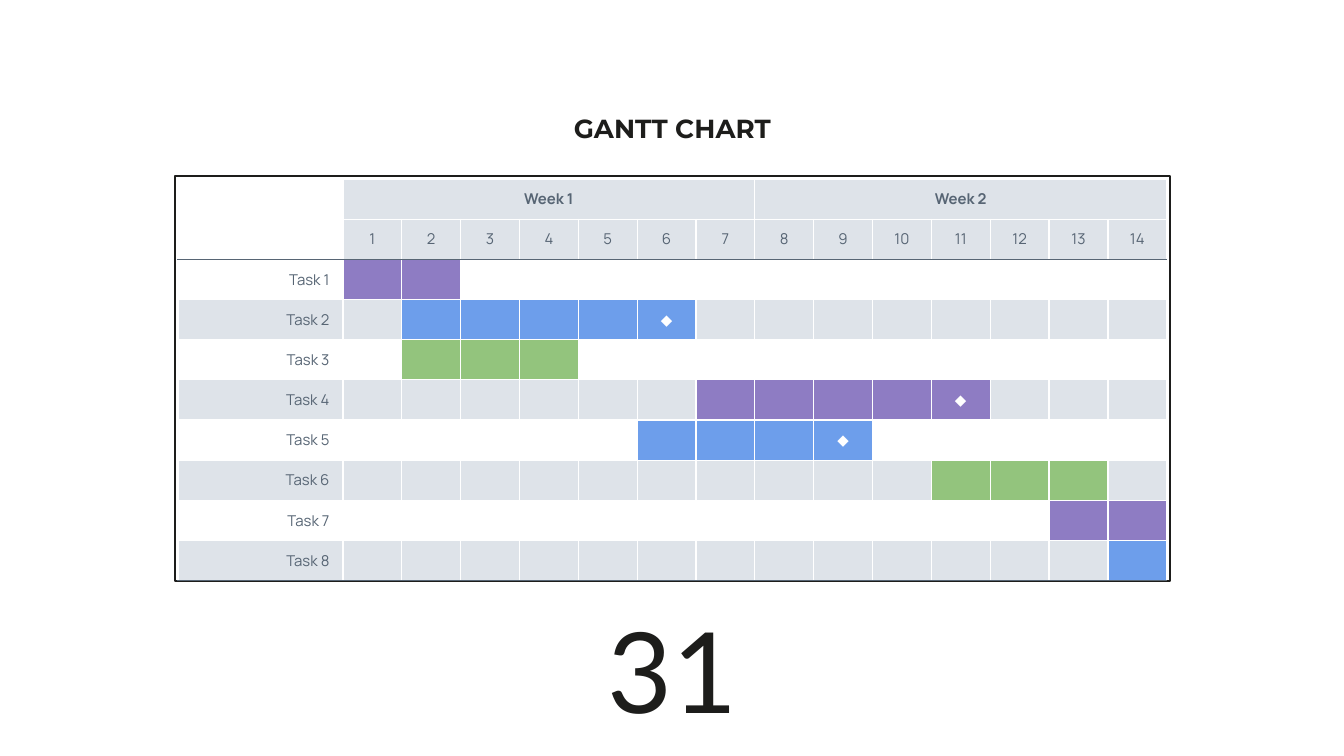
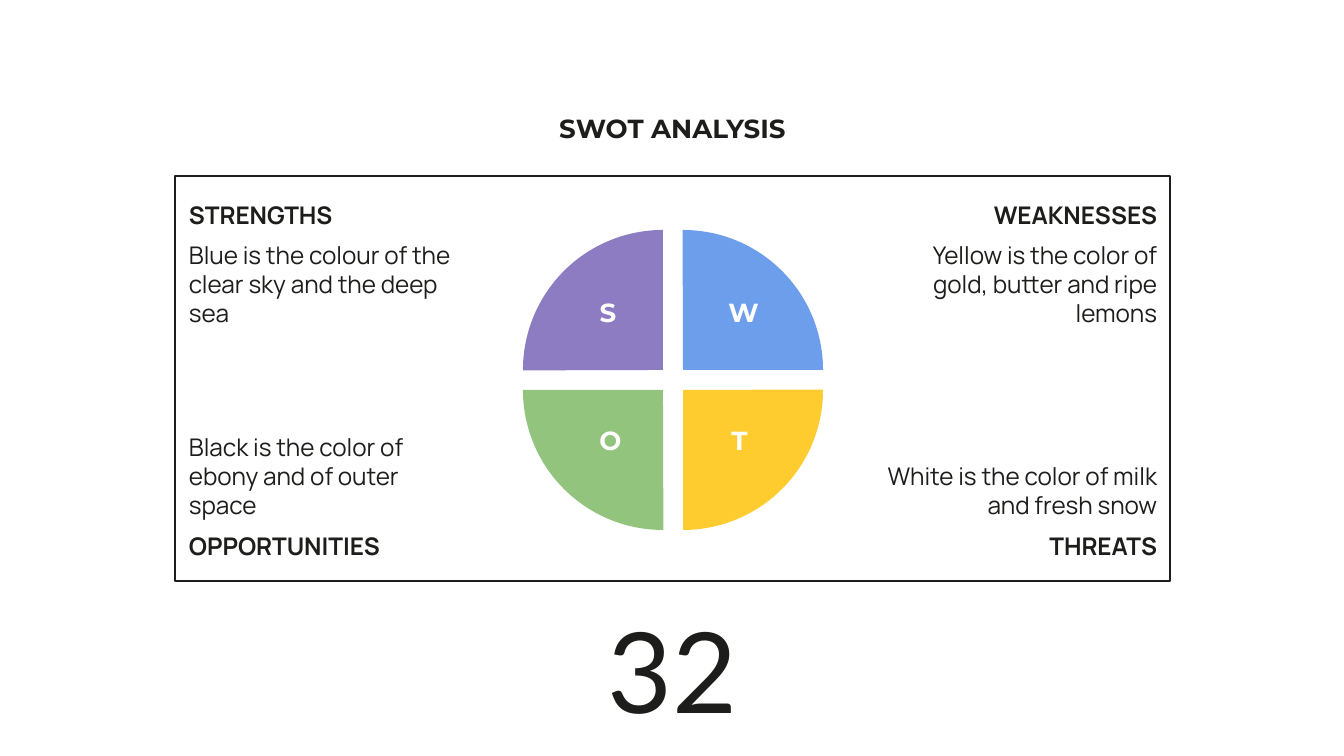
from lxml import etree
from pptx import Presentation, util as u
from pptx.dml.color import RGBColor
from pptx.enum import shapes, text
from pptx.oxml.ns import qn

INK = RGBColor(0x1D, 0x1D, 0x1B)
SLATE = RGBColor(0x57, 0x65, 0x74)
MIST = RGBColor(0xDE, 0xE3, 0xE9)
WHITE = RGBColor(0xFF, 0xFF, 0xFF)
PURPLE = RGBColor(0x8E, 0x7C, 0xC3)
BLUE = RGBColor(0x6D, 0x9E, 0xEB)
GREEN = RGBColor(0x93, 0xC4, 0x7D)
YELLOW = RGBColor(0xFF, 0xCC, 0x2F)

TITLE_FONT, BODY_FONT, NUMBER_FONT = "Montserrat", "Manrope", "Lato"
LEFT, CENTER, RIGHT = text.PP_ALIGN.LEFT, text.PP_ALIGN.CENTER, text.PP_ALIGN.RIGHT
TOP, MIDDLE, BOTTOM = text.MSO_ANCHOR.TOP, text.MSO_ANCHOR.MIDDLE, text.MSO_ANCHOR.BOTTOM

# Lengths are px, 1344 to the slide width
EMU_PER_PX = 9144000 / 1344
SLIDE = (1344, 756)
TITLE_BOX = (175, 31, 995, 126)
FRAME_BOX = (175, 176, 995, 405)
NUMBER_BOX = (175, 581, 995, 175)
INSET = 13

# Gantt chart: task, first day, last day, colour, milestone on the last day
WEEKS = ["Week 1", "Week 2"]
DAYS_PER_WEEK = 7
DAYS = len(WEEKS) * DAYS_PER_WEEK
TASKS = [
    ("Task 1", 1, 2, PURPLE, False),
    ("Task 2", 2, 6, BLUE, True),
    ("Task 3", 2, 4, GREEN, False),
    ("Task 4", 7, 11, PURPLE, True),
    ("Task 5", 6, 9, BLUE, True),
    ("Task 6", 11, 13, GREEN, False),
    ("Task 7", 13, 14, PURPLE, False),
    ("Task 8", 14, 14, BLUE, False),
]
HEADER_ROWS = 2
GANTT_BOX = (178, 179, 989, 402)
TASK_COLUMN = 165

# SWOT, clockwise: heading, description, colour, column, row, letter (left, width)
SWOT = [
    ("STRENGTHS", "Blue is the colour of the clear sky and the deep sea", PURPLE, 0, 0, (587, 42)),
    ("WEAKNESSES", "Yellow is the color of gold, butter and ripe lemons", BLUE, 1, 0, (704, 79)),
    ("THREATS", "White is the color of milk and fresh snow", YELLOW, 1, 1, (718, 43)),
    ("OPPORTUNITIES", "Black is the color of ebony and of outer space", GREEN, 0, 1, (583, 55)),
]
NOTE_LEFTS, NOTE_TOPS, NOTE_SIZE = (176, 683), (187, 390), (487, 183)
NOTE_INNER_INSET = 202
PIE_LEFT, PIE_TOP, PIE_SIZE, PIE_GAP = 523, 230, 280, 20
LETTER_TOPS, LETTER_HEIGHT = (289, 417), 50


def px(length):
    return u.Emu(round(length * EMU_PER_PX))


def box(lengths):
    return [px(length) for length in lengths]


def add_run(paragraph, words, font, size, color, bold=False):
    run = paragraph.add_run()
    run.text = words
    run.font.name, run.font.size, run.font.bold = font, u.Pt(size), bold
    run.font.color.rgb = color


def set_frame(shape, anchor, insets):
    frame = shape.text_frame
    frame.word_wrap = True
    frame.auto_size = text.MSO_AUTO_SIZE.NONE
    frame.vertical_anchor = anchor
    (frame.margin_left, frame.margin_top,
     frame.margin_right, frame.margin_bottom) = box(insets)
    return frame


def add_line(shape_or_frame, words, font, size, color, bold=False):
    """Write one centred line into the first paragraph."""
    paragraph = shape_or_frame.paragraphs[0]
    paragraph.alignment = CENTER
    add_run(paragraph, words, font, size, color, bold)


def start_slide(prs, heading, number):
    slide = prs.slides.add_slide(prs.slide_layouts[5])
    title = slide.shapes.title
    title.left, title.top, title.width, title.height = box(TITLE_BOX)
    add_line(set_frame(title, BOTTOM, [INSET] * 4), heading, TITLE_FONT, 14, INK, True)

    frame = slide.shapes.add_shape(shapes.MSO_SHAPE.RECTANGLE, *box(FRAME_BOX))
    frame.shadow.inherit = False
    frame.fill.background()
    frame.line.color.rgb = INK
    frame.line.width = u.Pt(0.75)

    page = slide.shapes.add_textbox(*box(NUMBER_BOX))
    add_line(set_frame(page, MIDDLE, [INSET] * 4), str(number), NUMBER_FONT, 60, INK)
    return slide


def style_cell(cell, fill, top=WHITE, bottom=WHITE):
    """Set the borders, which must come first in the XML, then the fill."""
    properties = cell._tc.get_or_add_tcPr()
    for tag, color in (("lnL", WHITE), ("lnR", WHITE), ("lnT", top), ("lnB", bottom)):
        border = etree.SubElement(properties, qn("a:" + tag), w=str(u.Pt(0.75)))
        solid = etree.SubElement(border, qn("a:solidFill"))
        etree.SubElement(solid, qn("a:srgbClr"), val=str(color))
    if fill is None:
        cell.fill.background()
    else:
        cell.fill.solid()
        cell.fill.fore_color.rgb = fill


def write_cell(cell, words, align=CENTER, color=SLATE, bold=False):
    cell.vertical_anchor = MIDDLE
    paragraph = cell.text_frame.paragraphs[0]
    paragraph.alignment = align
    if words:
        add_run(paragraph, words, BODY_FONT, 8, color, bold)
    else:  # keeps empty cells from stretching their row
        etree.SubElement(paragraph._p, qn("a:endParaRPr"), sz="800")


def gantt_slide(prs):
    slide = start_slide(prs, "GANTT CHART", 31)
    row_count = HEADER_ROWS + len(TASKS)
    gantt = slide.shapes.add_table(row_count, DAYS + 1, *box(GANTT_BOX)).table
    gantt.first_row = gantt.horz_banding = False
    day_width = (GANTT_BOX[2] - TASK_COLUMN) / DAYS
    for index, column in enumerate(gantt.columns):
        column.width = px(day_width if index else TASK_COLUMN)
    for row in gantt.rows:
        row.height = px(GANTT_BOX[3] / row_count)

    for day in range(DAYS + 1):
        fill = MIST if day else None
        week, weekday = divmod(day - 1, DAYS_PER_WEEK)
        style_cell(gantt.cell(0, day), fill)
        write_cell(gantt.cell(0, day), WEEKS[week] if day and weekday == 0 else "", bold=True)
        style_cell(gantt.cell(1, day), fill, bottom=SLATE)
        write_cell(gantt.cell(1, day), str(day) if day else "")
    for week in range(len(WEEKS)):
        first = 1 + week * DAYS_PER_WEEK
        gantt.cell(0, first).merge(gantt.cell(0, first + DAYS_PER_WEEK - 1))

    for index, (task, first, last, color, milestone) in enumerate(TASKS):
        band = MIST if index % 2 else None
        top = SLATE if index == 0 else WHITE
        bottom = SLATE if index == len(TASKS) - 1 else WHITE
        for day in range(DAYS + 1):
            cell = gantt.cell(HEADER_ROWS + index, day)
            style_cell(cell, color if first <= day <= last else band, top, bottom)
            if day == 0:
                write_cell(cell, task, RIGHT)
            else:
                write_cell(cell, "◆" if milestone and day == last else "", color=WHITE)


def add_note(slide, heading, description, column, row):
    note = slide.shapes.add_textbox(
        *box((NOTE_LEFTS[column], NOTE_TOPS[row], *NOTE_SIZE)))
    sides = (NOTE_INNER_INSET, INSET) if column else (INSET, NOTE_INNER_INSET)
    frame = set_frame(note, BOTTOM if row else TOP, (sides[0], INSET, sides[1], INSET))
    lines = [(heading, True), (description, False)]
    if row:
        lines.reverse()
    for index, (words, bold) in enumerate(lines):
        paragraph = frame.add_paragraph() if index else frame.paragraphs[0]
        paragraph.alignment = RIGHT if column else LEFT
        if index:
            paragraph.space_before = paragraph.space_after = u.Pt(6)
        add_run(paragraph, words, BODY_FONT, 13, INK, bold)


def swot_slide(prs):
    slide = start_slide(prs, "SWOT ANALYSIS", 32)
    for heading, description, _, column, row, _ in SWOT:
        add_note(slide, heading, description, column, row)

    for turn, (_, _, color, column, row, _) in enumerate(SWOT):
        quarter = slide.shapes.add_shape(shapes.MSO_SHAPE.PIE, *box(
            (PIE_LEFT + column * PIE_GAP, PIE_TOP + row * PIE_GAP, PIE_SIZE, PIE_SIZE)))
        quarter.adjustments[0], quarter.adjustments[1] = 107.89, 162
        quarter.rotation = 90 * turn
        quarter.shadow.inherit = False
        quarter.fill.solid()
        quarter.fill.fore_color.rgb = color
        quarter.line.fill.background()

    for heading, _, _, _, row, (left, width) in SWOT:
        letter = slide.shapes.add_textbox(
            *box((left, LETTER_TOPS[row], width, LETTER_HEIGHT)))
        add_line(set_frame(letter, TOP, (0, 7, 0, 7)), heading[0], TITLE_FONT, 14, WHITE, True)


def main():
    prs = Presentation()
    prs.slide_width, prs.slide_height = box(SLIDE)
    gantt_slide(prs)
    swot_slide(prs)
    prs.save("out.pptx")


if __name__ == "__main__":
    main()
